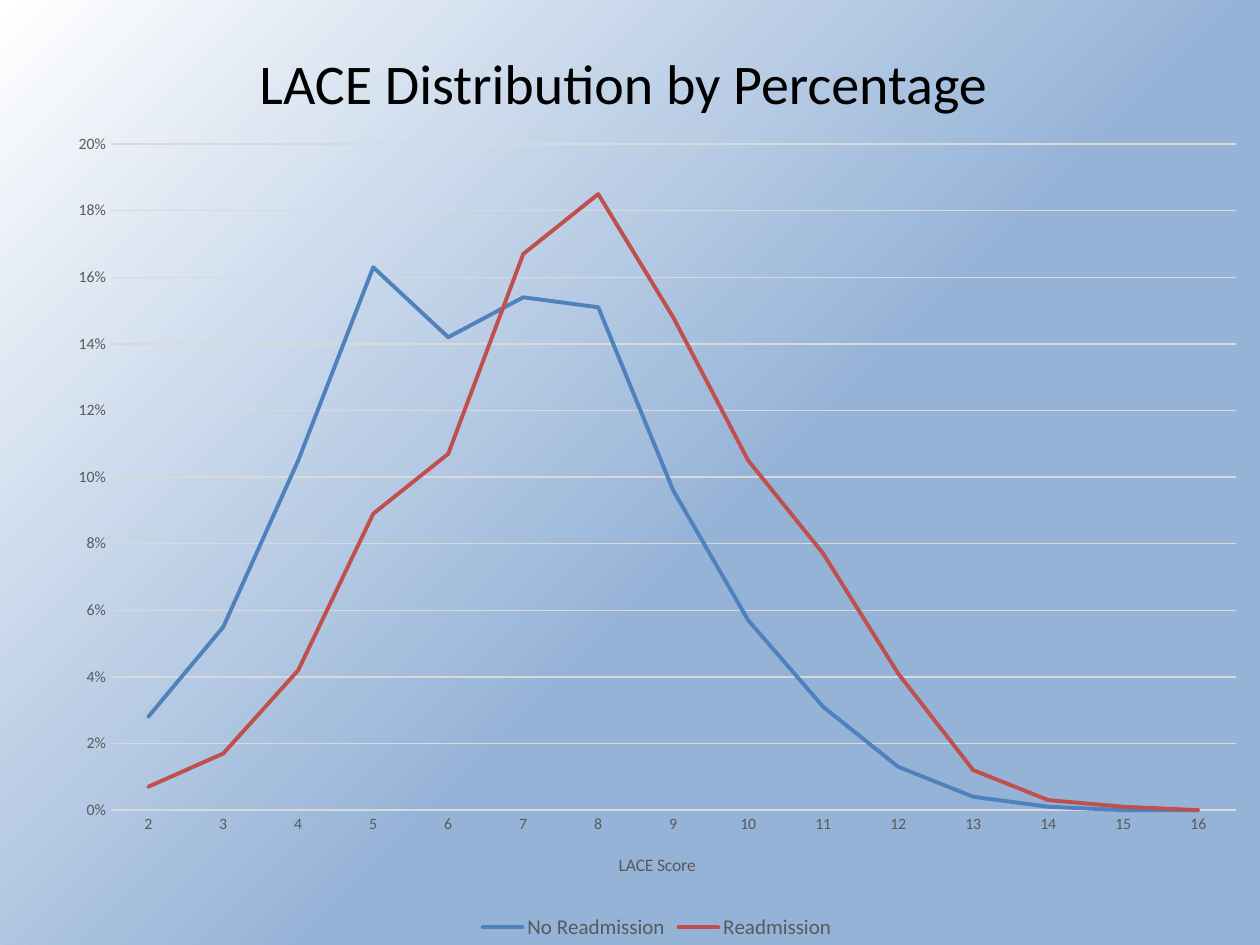
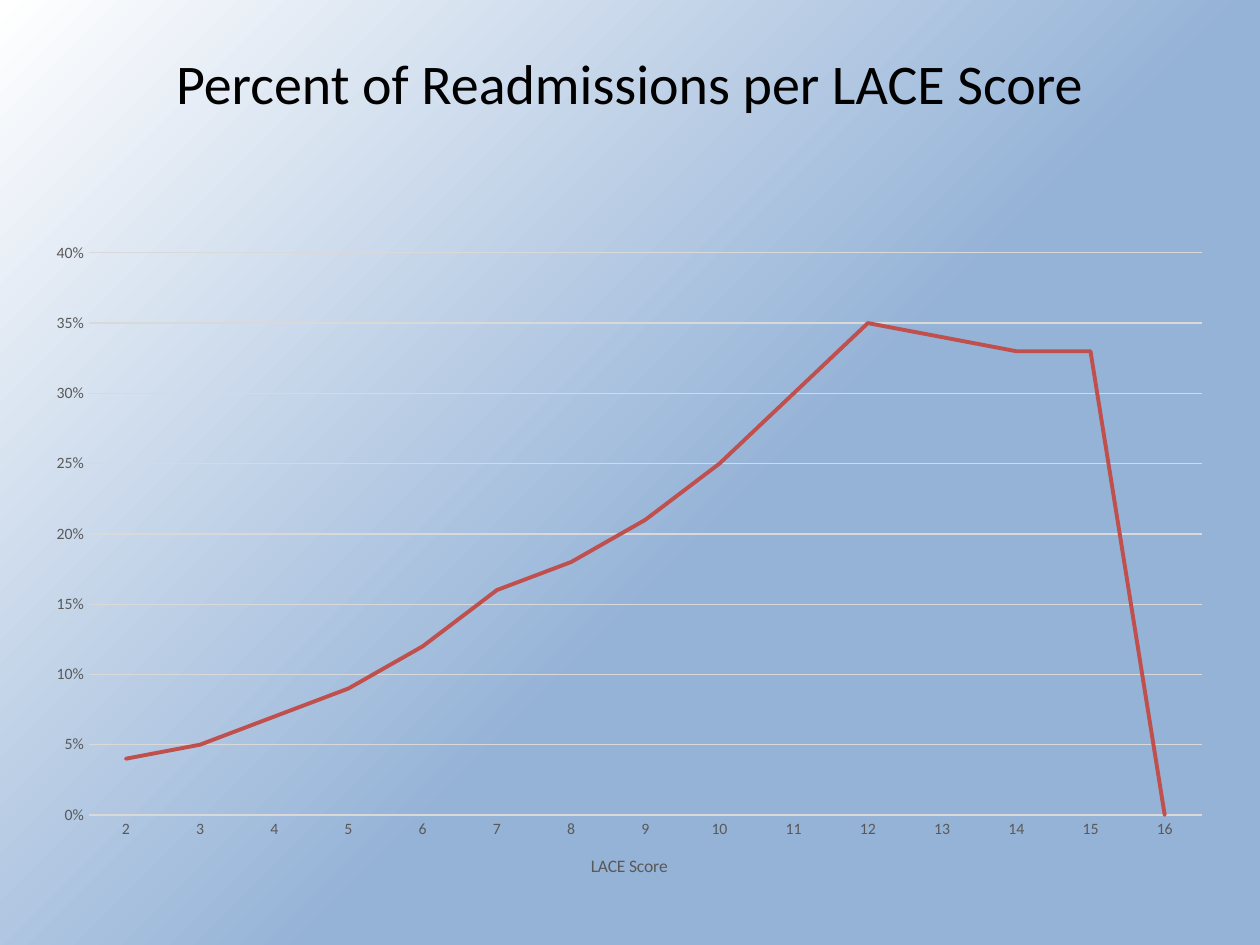
from lxml import etree
from pptx import Presentation
from pptx import util as u
from pptx.chart.data import CategoryChartData
from pptx.dml.color import RGBColor
from pptx.enum import chart as ch
from pptx.enum import text as tx
from pptx.oxml import parse_xml
from pptx.oxml.ns import qn

FONT = "Calibri"
BLACK = RGBColor(0x00, 0x00, 0x00)
LABEL_GREY = RGBColor(0x59, 0x59, 0x59)
GRID_GREY = RGBColor(0xD9, 0xD9, 0xD9)
BLUE = RGBColor(0x4F, 0x81, 0xBD)
RED = RGBColor(0xC0, 0x50, 0x4D)
BACKDROP_BLUE = RGBColor(0x95, 0xB3, 0xD7)
WHITE = RGBColor(0xFF, 0xFF, 0xFF)

TITLE_BOX = (1.27, 0.56, 22.86, 2.21)
LACE_SCORES = [str(score) for score in range(2, 17)]

NO_READMISSION = [0.028, 0.055, 0.105, 0.163, 0.142, 0.154, 0.151, 0.096,
                  0.057, 0.031, 0.013, 0.004, 0.001, 0, 0]
READMISSION = [0.007, 0.017, 0.042, 0.089, 0.107, 0.167, 0.185, 0.148,
               0.105, 0.077, 0.041, 0.012, 0.003, 0.001, 0]
READMISSION_RATE = [0.04, 0.05, 0.07, 0.09, 0.12, 0.16, 0.18, 0.21,
                    0.25, 0.3, 0.35, 0.34, 0.33, 0.33, 0]


def paint_backdrop(master):
    """Give every slide a radial gradient spreading from the bottom right."""
    master.background.fill.solid()
    solid = master.element.find(".//" + qn("p:bg")).find(".//" + qn("a:solidFill"))
    gradient = parse_xml(
        '<a:gradFill xmlns:a="http://schemas.openxmlformats.org/drawingml/2006/main"'
        ' rotWithShape="1"><a:gsLst>'
        f'<a:gs pos="43000"><a:srgbClr val="{BACKDROP_BLUE}"/></a:gs>'
        f'<a:gs pos="100000"><a:srgbClr val="{WHITE}"/></a:gs></a:gsLst>'
        '<a:path path="circle"><a:fillToRect l="100000" t="100000"/></a:path>'
        '</a:gradFill>')
    solid.getparent().replace(solid, gradient)


def style_font(font, size, color):
    font.name = FONT
    font.size = u.Pt(size)
    font.bold = False
    font.color.rgb = color


def style_line(line, color, width):
    line.color.rgb = color
    line.width = u.Pt(width)


def add_title(slide, wording, box):
    frame = slide.shapes.add_textbox(*map(u.Cm, box)).text_frame
    frame.word_wrap = True
    frame.vertical_anchor = tx.MSO_ANCHOR.MIDDLE
    frame.text = wording
    heading = frame.paragraphs[0]
    heading.alignment = tx.PP_ALIGN.CENTER
    style_font(heading.runs[0].font, 32, BLACK)


def place_plot(chart, fractions):
    """Fix the inner plot area as fractions (x, y, w, h) of the chart."""
    plot_area = chart.element.find(".//" + qn("c:plotArea"))
    for automatic in plot_area.findall(qn("c:layout")):
        plot_area.remove(automatic)
    layout = etree.Element(qn("c:layout"))
    manual = etree.SubElement(layout, qn("c:manualLayout"))
    settings = [("layoutTarget", "inner"), ("xMode", "edge"), ("yMode", "edge")]
    settings += zip("xywh", map(str, fractions))
    for tag, value in settings:
        etree.SubElement(manual, qn("c:" + tag)).set("val", value)
    plot_area.insert(0, layout)


def style_axes(chart, top, step):
    scores, shares = chart.category_axis, chart.value_axis
    for axis in (scores, shares):
        axis.major_tick_mark = axis.minor_tick_mark = ch.XL_TICK_MARK.NONE
        style_font(axis.tick_labels.font, 9, LABEL_GREY)
    style_line(scores.format.line, GRID_GREY, 0.75)
    caption = scores.axis_title.text_frame
    caption.text = "LACE Score"
    style_font(caption.paragraphs[0].runs[0].font, 10, LABEL_GREY)

    shares.minimum_scale, shares.maximum_scale, shares.major_unit = 0, top, step
    shares.format.line.fill.background()
    style_line(shares.major_gridlines.format.line, GRID_GREY, 0.75)
    shares.tick_labels.number_format = "0%"
    shares.tick_labels.number_format_is_linked = False


def add_score_chart(slide, box, curves, top, step, plot_fractions):
    """Draw curves, given as (name, values, colour), over the LACE scores."""
    data = CategoryChartData(number_format="0%")
    data.categories = LACE_SCORES
    for name, values, _ in curves:
        data.add_series(name, values)
    chart = slide.shapes.add_chart(
        ch.XL_CHART_TYPE.LINE, *map(u.Cm, box), data).chart
    chart.has_title = False
    style_font(chart.font, 10, BLACK)
    chart.plots[0].vary_by_categories = False
    for series, (_, _, color) in zip(chart.plots[0].series, curves):
        series.smooth = False
        series.marker.style = ch.XL_MARKER_STYLE.NONE
        style_line(series.format.line, color, 2.25)
        series.format.element.find(".//" + qn("a:ln")).set("cap", "rnd") \
            if hasattr(series.format, "element") else None
    style_axes(chart, top, step)
    place_plot(chart, plot_fractions)
    chart.has_legend = len(curves) > 1
    if chart.has_legend:
        chart.legend.position = ch.XL_LEGEND_POSITION.BOTTOM
        chart.legend.include_in_layout = False
        style_font(chart.legend.font, 12, LABEL_GREY)


def build_distribution(slide):
    add_title(slide, "LACE Distribution by Percentage ", TITLE_BOX)
    add_score_chart(
        slide, (1.09, 2.39, 24.31, 16.66),
        [("No Readmission", NO_READMISSION, BLUE),
         ("Readmission", READMISSION, RED)],
        top=0.2, step=0.02, plot_fractions=(0.047, 0.031, 0.933, 0.806))


def build_readmission_rate(slide):
    add_score_chart(
        slide, (0.66, 4.65, 24.05, 13.59),
        [("Series 1", READMISSION_RATE, RED)],
        top=0.4, step=0.05, plot_fractions=(0.047, 0.033, 0.933, 0.834))
    add_title(slide, "Percent of Readmissions per LACE Score", TITLE_BOX)


def main():
    deck = Presentation()
    deck.slide_width, deck.slide_height = u.Cm(25.4), u.Cm(19.05)
    paint_backdrop(deck.slide_master)
    for build in (build_distribution, build_readmission_rate):
        build(deck.slides.add_slide(deck.slide_layouts[6]))
    deck.save("out.pptx")


if __name__ == "__main__":
    main()
